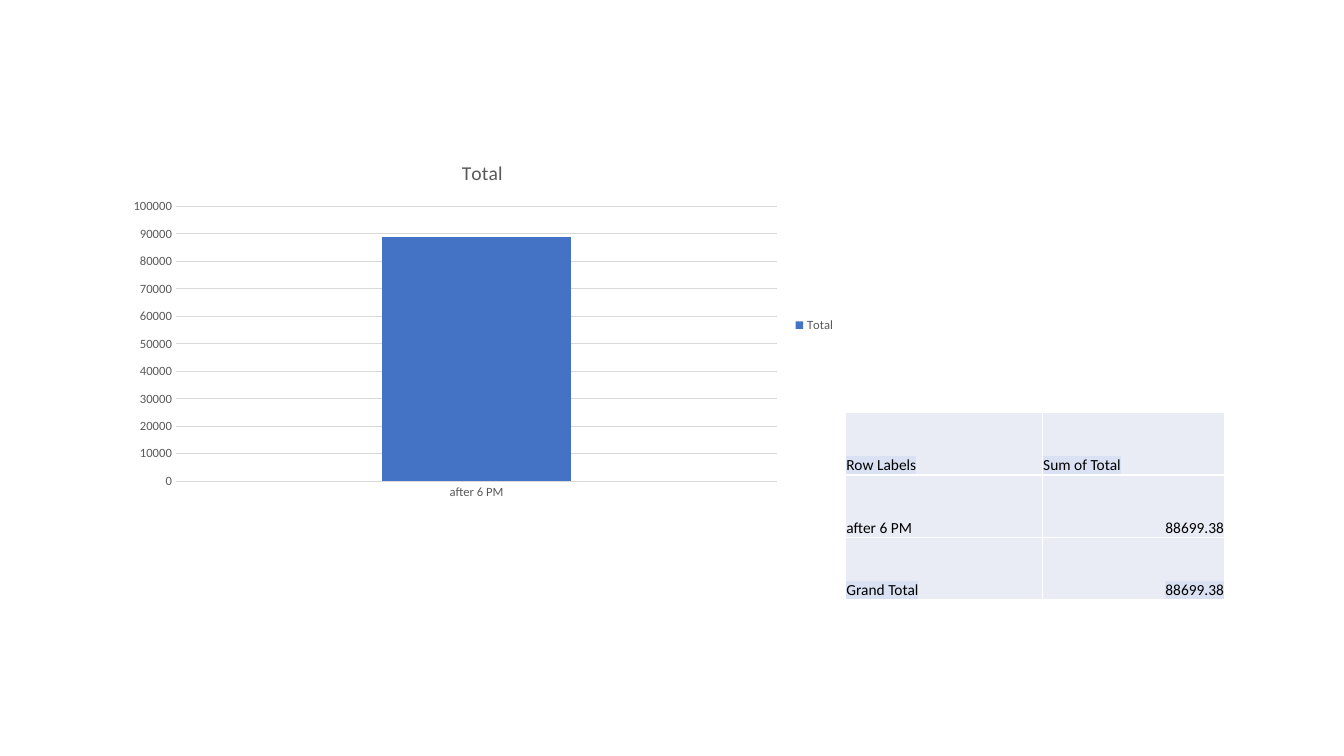
from lxml.etree import SubElement
from pptx import Presentation
from pptx.chart.data import CategoryChartData
from pptx.dml.color import RGBColor
from pptx.enum.chart import XL_CHART_TYPE as ChartType, XL_LEGEND_POSITION as LegendPosition, XL_TICK_MARK as TickMark
from pptx.enum.text import MSO_ANCHOR as Anchor, PP_ALIGN as Align
from pptx.oxml.ns import qn
from pptx.util import Cm, Pt

FONT = "Calibri"
BLACK = RGBColor(0x00, 0x00, 0x00)
WHITE = RGBColor(0xFF, 0xFF, 0xFF)
GREY = RGBColor(0x59, 0x59, 0x59)
PALE_GREY = RGBColor(0xD9, 0xD9, 0xD9)
BLUE = RGBColor(0x44, 0x72, 0xC4)
CELL_BLUE = RGBColor(0xE9, 0xEB, 0xF5)
HIGHLIGHT_BLUE = RGBColor(0xD9, 0xE1, 0xF2)

TOTALS = [
    ("Row Labels", "Sum of Total"),
    ("after 6 PM", "88699.38"),
    ("Grand Total", "88699.38"),
]
HIGHLIGHTED_ROWS = (0, 2)


def style_font(font, size, color):
    """Apply the slide typeface with a size and colour."""
    font.name = FONT
    font.size = Pt(size)
    font.bold = False
    font.color.rgb = color


def style_line(line):
    """Draw a thin pale grey line."""
    line.color.rgb = PALE_GREY
    line.width = Pt(0.75)


def style_axis(axis):
    """Remove tick marks and set the label font."""
    axis.major_tick_mark = axis.minor_tick_mark = TickMark.NONE
    style_font(axis.tick_labels.font, 9, GREY)


def add_total_chart(slide):
    """Add the column chart of the evening total."""
    totals = CategoryChartData()
    totals.categories = ["after 6 PM"]
    totals.add_series("Total", [89000])
    chart = slide.shapes.add_chart(
        ChartType.COLUMN_CLUSTERED, Cm(3), Cm(3.61), Cm(18.31), Cm(9.17), totals
    ).chart
    style_font(chart.font, 10, BLACK)

    chart.has_title = True
    heading = chart.chart_title.text_frame
    heading.text = "Total"
    style_font(heading.paragraphs[0].font, 14, GREY)
    chart.chart_title.include_in_layout = False

    chart.has_legend = True
    chart.legend.position = LegendPosition.RIGHT
    chart.legend.include_in_layout = False
    style_font(chart.legend.font, 9, GREY)

    style_axis(chart.category_axis)
    style_line(chart.category_axis.format.line)
    amounts = chart.value_axis
    style_axis(amounts)
    amounts.minimum_scale, amounts.maximum_scale, amounts.major_unit = 0, 100000, 10000
    amounts.format.line.fill.background()
    style_line(amounts.major_gridlines.format.line)

    columns = chart.plots[0]
    columns.gap_width, columns.overlap, columns.vary_by_categories = 219, -27, False
    columns.series[0].format.fill.solid()
    columns.series[0].format.fill.fore_color.rgb = BLUE


def add_color(parent, color):
    """Append an RGB colour element."""
    SubElement(parent, qn("a:srgbClr"), val=str(color))


def add_borders(cell):
    """Draw white lines on all four sides of a cell."""
    properties = cell._tc.get_or_add_tcPr()
    for side in ("lnL", "lnR", "lnT", "lnB"):
        border = SubElement(properties, qn(f"a:{side}"), w=str(Pt(1)))
        add_color(SubElement(border, qn("a:solidFill")), WHITE)


def fill_cell(cell, words, is_number, is_highlighted):
    """Write and style one table cell."""
    cell.margin_left = cell.margin_right = cell.margin_top = Cm(0.02)
    cell.margin_bottom = 0
    cell.vertical_anchor = Anchor.BOTTOM
    add_borders(cell)
    cell.fill.solid()
    cell.fill.fore_color.rgb = CELL_BLUE
    cell.text = words
    paragraph = cell.text_frame.paragraphs[0]
    paragraph.alignment = Align.RIGHT if is_number else Align.LEFT
    style_font(paragraph.font, 11, BLACK)
    if is_highlighted:
        run_properties = paragraph.runs[0]._r.get_or_add_rPr()
        add_color(SubElement(run_properties, qn("a:highlight")), HIGHLIGHT_BLUE)


def add_total_table(slide):
    """Add the table of totals."""
    table = slide.shapes.add_table(
        len(TOTALS), 2, Cm(21.31), Cm(10.4), Cm(9.56), Cm(4.71)
    ).table
    table.first_row = table.horz_banding = False
    table.columns[0].width, table.columns[1].width = Cm(4.96), Cm(4.6)
    for row, entries in enumerate(TOTALS):
        for column, words in enumerate(entries):
            is_number = row > 0 and column == 1
            fill_cell(table.cell(row, column), words, is_number, row in HIGHLIGHTED_ROWS)


def main():
    """Build the slide and save it."""
    deck = Presentation()
    deck.slide_width, deck.slide_height = Cm(33.87), Cm(19.05)
    slide = deck.slides.add_slide(deck.slide_layouts[6])
    add_total_chart(slide)
    add_total_table(slide)
    deck.save("out.pptx")


if __name__ == "__main__":
    main()
